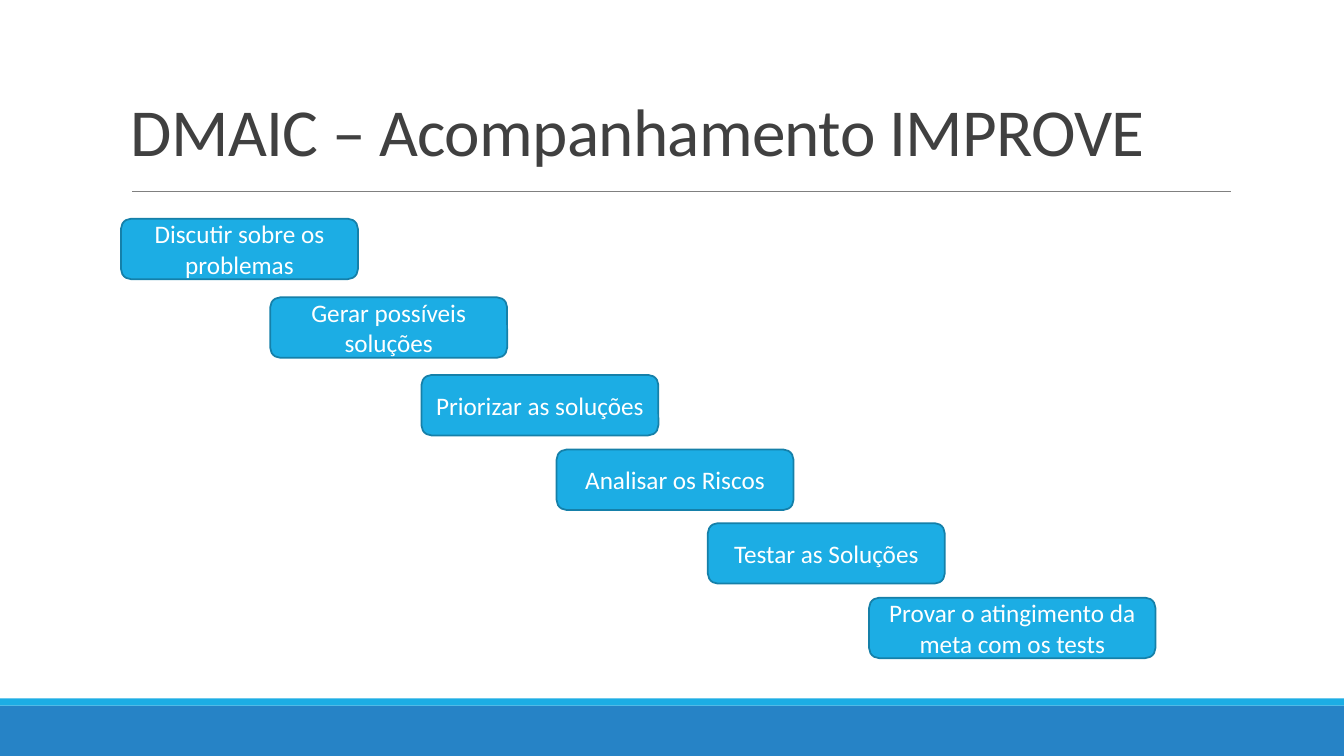
from lxml import etree
from pptx import Presentation
from pptx.dml.color import RGBColor
from pptx.enum.shapes import MSO_CONNECTOR, MSO_SHAPE
from pptx.enum.text import MSO_ANCHOR, PP_ALIGN
from pptx.oxml.ns import qn
from pptx.util import Inches, Pt

WHITE = RGBColor(0xFF, 0xFF, 0xFF)
DARK_GRAY = RGBColor(0x40, 0x40, 0x40)
RULE_GRAY = RGBColor(0x80, 0x80, 0x80)
BLUE = RGBColor(0x26, 0x83, 0xC6)
CYAN = RGBColor(0x1C, 0xAD, 0xE4)
CYAN_EDGE = RGBColor(0x15, 0x80, 0xA9)

SLIDE_WIDTH, SLIDE_HEIGHT = 13.33, 7.5
STEP_HEIGHT = 0.6

# Left, top, width and wording of each step, going down the stairs
STEPS = [
    (1.2, 2.17, 2.35, "Discutir sobre os problemas"),
    (2.68, 2.95, 2.35, "Gerar possíveis soluções"),
    (4.18, 3.72, 2.35, "Priorizar as soluções"),
    (5.52, 4.46, 2.35, "Analisar os Riscos"),
    (7.02, 5.19, 2.35, "Testar as Soluções"),
    (8.62, 5.93, 2.84, "Provar o atingimento da meta com os tests"),
]


def add_filled_shape(slide, kind, left, top, width, height, color):
    shape = slide.shapes.add_shape(
        kind, Inches(left), Inches(top), Inches(width), Inches(height))
    shape.shadow.inherit = False
    shape.fill.solid()
    shape.fill.fore_color.rgb = color
    shape.line.fill.background()
    return shape


def write_text(shape, text, size, color, anchor, alignment):
    """Put one formatted run in the shape and return its paragraph."""
    frame = shape.text_frame
    frame.word_wrap = True
    frame.vertical_anchor = anchor
    paragraph = frame.paragraphs[0]
    paragraph.alignment = alignment
    run = paragraph.add_run()
    run.text = text
    run.font.color.rgb = color
    for name, value in {"name": "Calibri", "size": Pt(size)}.items():
        setattr(run.font, name, value)
    return paragraph


def add_title(slide, text):
    box = slide.shapes.add_textbox(
        Inches(1.2), Inches(0.15), Inches(11), Inches(1.59))
    paragraph = write_text(
        box, text, 48, DARK_GRAY, MSO_ANCHOR.BOTTOM, PP_ALIGN.LEFT)
    paragraph.line_spacing = 0.85
    paragraph.runs[0]._r.get_or_add_rPr().set("spc", "-50")


def add_title_rule(slide):
    rule = slide.shapes.add_connector(
        MSO_CONNECTOR.STRAIGHT,
        Inches(1.31), Inches(1.9), Inches(12.21), Inches(1.9))
    rule.line.color.rgb = RULE_GRAY
    rule.line.width = Pt(0.5)
    etree.SubElement(rule._element.spPr, qn("a:effectLst"))


def add_step(slide, left, top, width, text):
    step = add_filled_shape(slide, MSO_SHAPE.ROUNDED_RECTANGLE,
                            left, top, width, STEP_HEIGHT, CYAN)
    step.line.color.rgb = CYAN_EDGE
    step.line.width = Pt(1.25)
    write_text(step, text, 18, WHITE, MSO_ANCHOR.MIDDLE, PP_ALIGN.CENTER)


def main():
    presentation = Presentation()
    presentation.slide_width = Inches(SLIDE_WIDTH)
    presentation.slide_height = Inches(SLIDE_HEIGHT)
    slide = presentation.slides.add_slide(presentation.slide_layouts[6])

    for top, height, color in [(7, 0.5, BLUE), (6.93, 0.07, CYAN)]:
        add_filled_shape(slide, MSO_SHAPE.RECTANGLE,
                         0, top, SLIDE_WIDTH, height, color)
    add_title_rule(slide)
    add_title(slide, "DMAIC – Acompanhamento IMPROVE")
    for step in STEPS:
        add_step(slide, *step)

    presentation.save("out.pptx")


if __name__ == "__main__":
    main()
